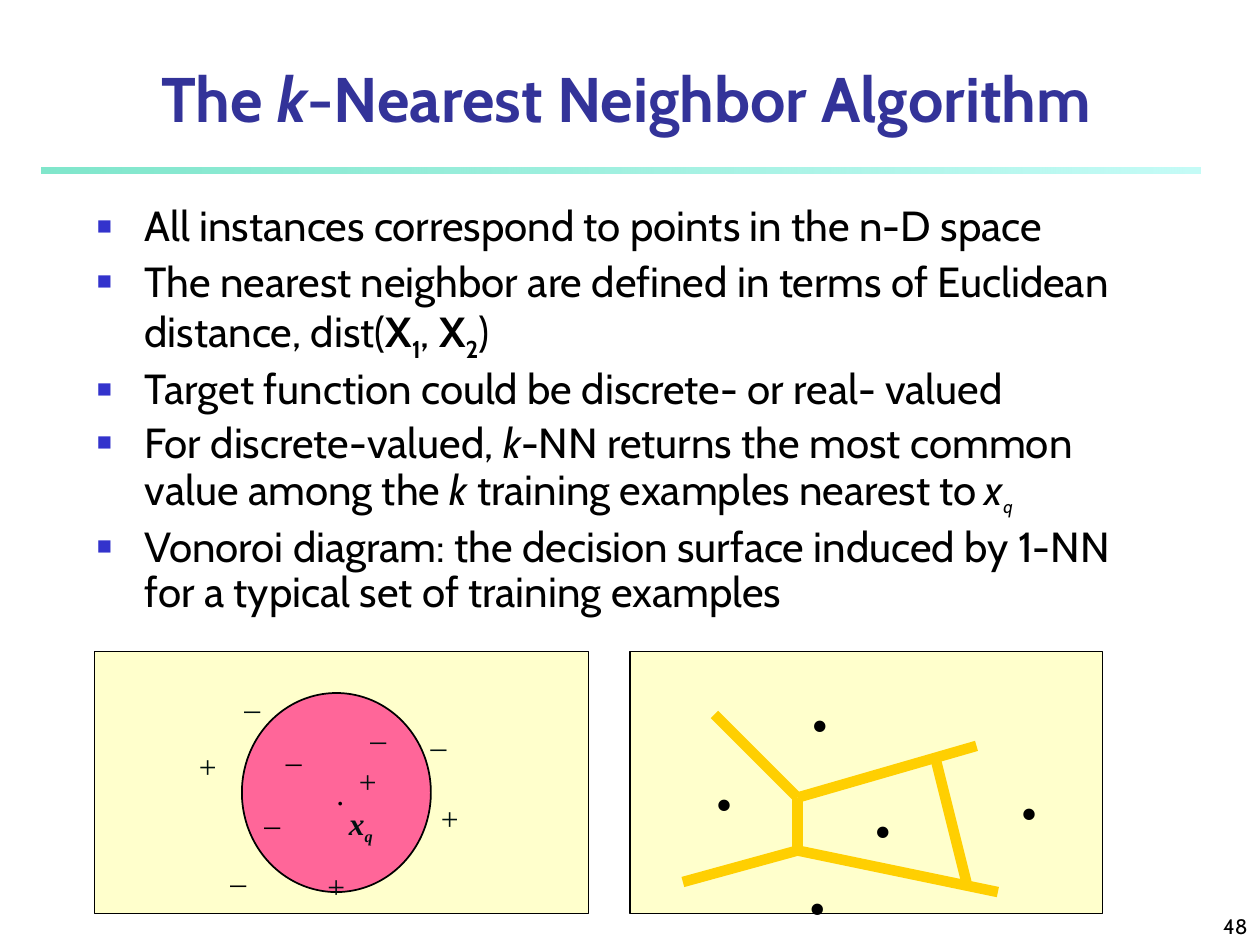
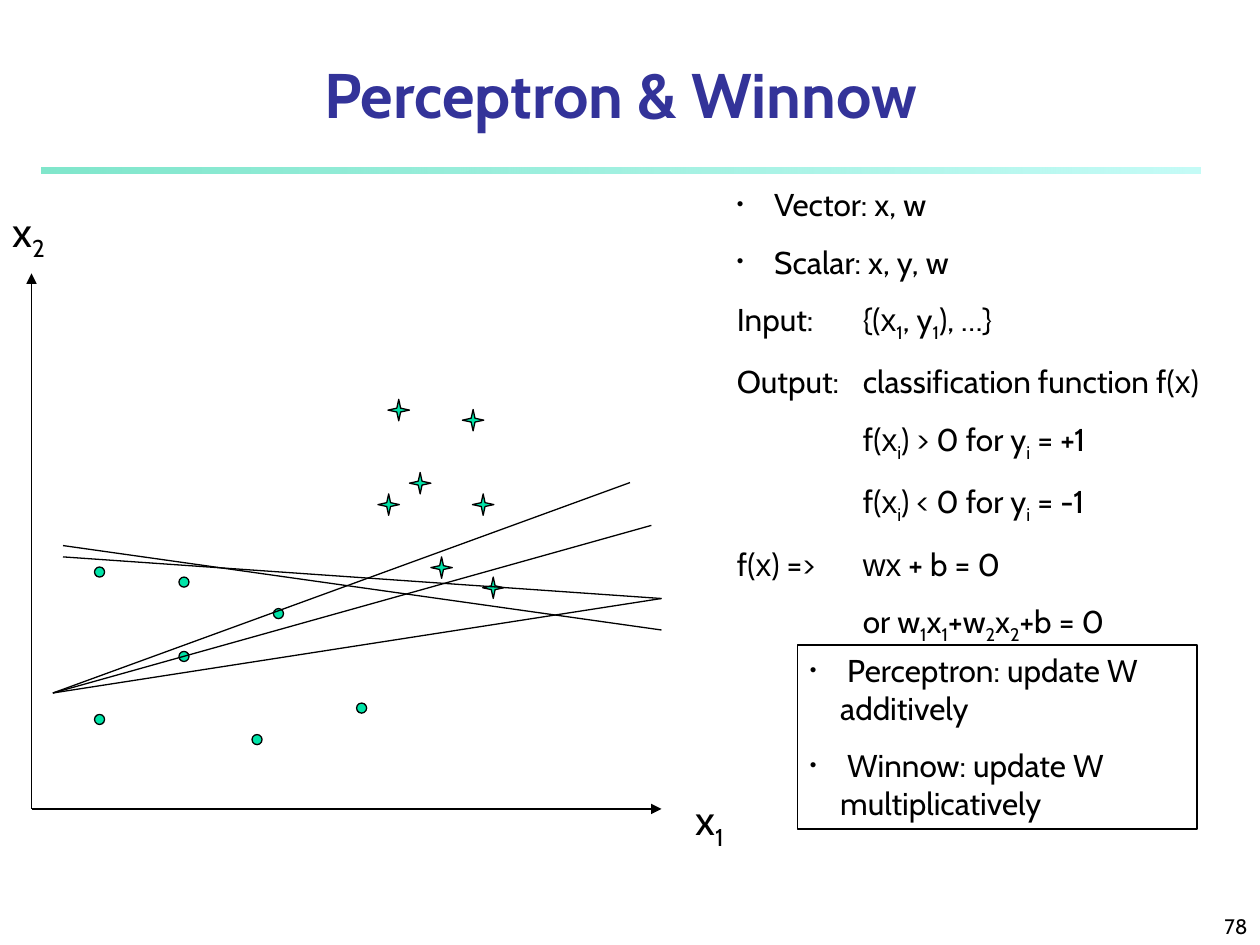
import pptx
import pptx.dml.color
import pptx.enum.shapes
import pptx.enum.text
import pptx.oxml.ns
import pptx.util
from lxml import etree

Inches = pptx.util.Inches
Shapes = pptx.enum.shapes.MSO_SHAPE
Align = pptx.enum.text.PP_ALIGN
Anchor = pptx.enum.text.MSO_ANCHOR
qn = pptx.oxml.ns.qn

COLORS = {
    "black": "000000", "ink": "001010", "title": "333399", "bullet": "3333CC",
    "band_start": "00CE98", "band_end": "8FF9EF", "panel": "FFFFCC",
    "circle": "FF6699", "boundary": "FFCF01", "marker": "00E4A8",
}
SANS, SERIF, PLAIN = "Cabin", "Times New Roman", "Arial"


def rgb(name):
    return pptx.dml.color.RGBColor.from_string(COLORS[name])


def run(text, **style):
    """A piece of text whose format differs from its paragraph."""
    return text, style


def sub(text, **style):
    return run(text, subscript=True, **style)


def write(frame, pieces, *, size=18, font=SANS, color="black", bold=False,
          align=Align.LEFT, space_before=0, line_spacing=None,
          bullet=None, bullet_color="black", hanging=0, tab=None):
    """Add one paragraph, given as a string or a list of strings and runs."""
    first = not frame.text
    paragraph = frame.paragraphs[0] if first else frame.add_paragraph()
    properties = paragraph._p.get_or_add_pPr()
    if bullet:
        properties.set("marL", str(Inches(hanging)))
        properties.set("indent", str(-Inches(hanging)))
        bullet_fill = etree.SubElement(properties, qn("a:buClr"))
        etree.SubElement(bullet_fill, qn("a:srgbClr"), val=COLORS[bullet_color])
        etree.SubElement(properties, qn("a:buSzPct"), val="60000")
        etree.SubElement(properties, qn("a:buFont"), typeface=PLAIN)
        etree.SubElement(properties, qn("a:buChar"), char=bullet)
    if tab:
        stops = etree.SubElement(properties, qn("a:tabLst"))
        etree.SubElement(stops, qn("a:tab"), pos=str(Inches(tab)), algn="l")
    paragraph.alignment = align
    paragraph.space_before = pptx.util.Pt(0 if first else space_before)
    if line_spacing:
        paragraph.line_spacing = line_spacing
    for piece in [pieces] if isinstance(pieces, str) else pieces:
        text, style = run(piece) if isinstance(piece, str) else piece
        text_run = paragraph.add_run()
        text_run.text = text
        text_run.font.name = style.get("font", font)
        text_run.font.size = pptx.util.Pt(style.get("size", size))
        text_run.font.bold = style.get("bold", bold)
        text_run.font.italic = style.get("italic", False)
        text_run.font.color.rgb = rgb(color)
        if style.get("subscript"):
            text_run._r.get_or_add_rPr().set("baseline", "-25000")


class Deck:
    def __init__(self):
        self.presentation = pptx.Presentation()
        self.presentation.slide_width = Inches(10)
        self.presentation.slide_height = Inches(7.5)
        self.slide = None

    def start_slide(self, title, number, title_box, title_anchor):
        self.slide = self.presentation.slides.add_slide(
            self.presentation.slide_layouts[6])
        self.band()
        self.text(str(number), (7.92, 7.08, 2.08, 0.42), anchor=Anchor.BOTTOM,
                  size=12, align=Align.RIGHT)
        self.text(title, title_box, anchor=title_anchor, size=36,
                  color="title", bold=True, align=Align.CENTER)

    def band(self):
        band = self.shape(Shapes.RECTANGLE, (0.33, 1.33, 9.2, 0.05), line=None)
        band.fill.gradient()
        band.fill.gradient_angle = 0
        for stop, name in zip(band.fill.gradient_stops, ("band_start", "band_end")):
            stop.color.rgb = rgb(name)
        for color, alpha in zip(band._element.iter(qn("a:srgbClr")), (50, 52)):
            etree.SubElement(color, qn("a:alpha"), val=str(alpha * 1000))

    def frame(self, box, anchor=Anchor.TOP, wrap=True):
        frame = self.slide.shapes.add_textbox(*map(Inches, box)).text_frame
        frame.word_wrap = wrap
        frame.vertical_anchor = anchor
        if not wrap:
            frame.auto_size = pptx.enum.text.MSO_AUTO_SIZE.SHAPE_TO_FIT_TEXT
        return frame

    def text(self, pieces, box, anchor=Anchor.TOP, wrap=True, **style):
        write(self.frame(box, anchor, wrap), pieces, **style)

    def shape(self, kind, box, fill=None, line="black", width=0.75):
        shape = self.slide.shapes.add_shape(kind, *map(Inches, box))
        shape.shadow.inherit = False
        if fill:
            shape.fill.solid()
            shape.fill.fore_color.rgb = rgb(fill)
        else:
            shape.fill.background()
        if line:
            shape.line.color.rgb = rgb(line)
            shape.line.width = pptx.util.Pt(width)
        else:
            shape.line.fill.background()
        return shape

    def line(self, start, end, color="black", width=0.75, arrow=False):
        connector = self.slide.shapes.add_connector(
            pptx.enum.shapes.MSO_CONNECTOR.STRAIGHT, *map(Inches, start + end))
        connector.line.color.rgb = rgb(color)
        connector.line.width = pptx.util.Pt(width)
        if arrow:
            etree.SubElement(connector.line._get_or_add_ln(), qn("a:tailEnd"),
                             type="triangle")
        etree.SubElement(connector._element.spPr, qn("a:effectLst"))


def nearest_neighbor_slide(deck):
    deck.start_slide(["The ", run("k", italic=True), "-Nearest Neighbor Algorithm"],
                     48, (0.5, 0.55, 8.94, 0.44), Anchor.MIDDLE)

    # Bullets
    k = run("k", italic=True)
    points = [
        ("All instances correspond to points in the n-D space", 6),
        (["The nearest neighbor are defined in terms of Euclidean distance, dist(",
          run("X", bold=True), sub("1", bold=True), ", ",
          run("X", bold=True), sub("2", bold=True), ")"], 6),
        ("Target function could be discrete- or real- valued", 6),
        (["For discrete-valued, ", k, "-NN returns the most common value among the ",
          k, " training examples nearest to", run(" ", size=20),
          run("x", italic=True), sub("q", size=18, italic=True)], 4.5),
        ("Vonoroi diagram: the decision surface induced by 1-NN "
         "for a typical set of training examples", 6),
    ]
    body = deck.frame((0.67, 1.58, 8.67, 5.58))
    for pieces, space_before in points:
        write(body, pieces, size=24, space_before=space_before, line_spacing=0.9,
              bullet="■", bullet_color="bullet", hanging=0.38)

    # Panels and neighborhood circle
    for left, width in ((0.75, 3.92), (5, 3.75)):
        deck.shape(Shapes.RECTANGLE, (left, 5.17, width, 2.08), "panel", width=1)
    circle = deck.shape(Shapes.OVAL, (1.92, 5.5, 1.5, 1.58), "circle", width=1)
    circle.text_frame.vertical_anchor = Anchor.MIDDLE
    circle.text_frame.margin_left = Inches(0.16)
    write(circle.text_frame, ".", font=SERIF, align=Align.CENTER)

    # Positive and negative examples
    examples = {
        ("_", 0.32, "black"): [(2.17, 5.75), (2, 6.25), (1.73, 6.71)],
        ("_", 0.32, "ink"): [(2.84, 5.58), (3.32, 5.63), (1.84, 5.33)],
        ("+", 0.34, "ink"): [(2.75, 6), (2.5, 6.83), (1.48, 5.88), (3.4, 6.29)],
    }
    for (sign, width, color), places in examples.items():
        for left, top in places:
            deck.text(sign, (left, top, width, 0.4), wrap=False, font=SERIF, color=color)
    deck.text([run("x", italic=True), sub("q", size=16, italic=True)],
              (2.67, 6.33, 0.39, 0.43), wrap=False, font=SERIF, color="ink", bold=True)

    # Voronoi diagram
    upper, lower = (6.33, 6.33), (6.33, 6.75)
    for start, end in (((5.67, 5.67), upper), (upper, (7.75, 5.92)), (upper, lower),
                       (lower, (7.92, 7.08)), (lower, (5.42, 7)),
                       ((7.42, 6), (7.67, 7))):
        deck.line(start, end, "boundary", 6)
    for left, top in ((6.34, 5.2), (6.84, 6.04), (6.32, 6.65), (5.58, 5.83), (8, 5.9)):
        deck.text(".", (left, top, 0.34, 0.77), wrap=False, size=40, font=SERIF, bold=True)


def perceptron_slide(deck):
    deck.start_slide("Perceptron & Winnow", 78, (0.33, 0.42, 9.19, 0.67), Anchor.BOTTOM)
    bulleted = {"space_before": 11.2, "bullet": "•", "hanging": 0.24}

    # Definitions
    x = run("x", font=PLAIN)
    definitions = deck.frame((5.75, 1.42, 4.25, 4.22))
    for item in (" Vector: x, w", " Scalar: x, y, w"):
        write(definitions, item, **bulleted)
    rows = [
        ["Input:\t{(", x, sub("1"), ", y", sub("1"), "), …}"],
        ["Output:\tclassification function f(", x, ")"],
        *(["\tf(", x, sub("i"), f") {sign} 0 for y", sub("i"), f" = {label}"]
          for sign, label in ((">", "+1"), ("<", "-1"))),
        ["f(", x, ") =>\t", run("wx", font=PLAIN), " + b = 0"],
        ["\tor w", sub("1"), "x", sub("1"), "+w", sub("2"), "x", sub("2"), "+b = 0"],
    ]
    for row in rows:
        write(definitions, row, space_before=11.2, tab=1)

    # Axes
    origin = (0.25, 6.42)
    for end in ((5.25, 6.42), (0.25, 2.17)):
        deck.line(origin, end, arrow=True)
    for index, left, top in (("1", 5.42, 6.25), ("2", 0, 1.58)):
        deck.text(["x", sub(index)], (left, top, 0.83, 0.56), size=24)

    # Two classes of points
    dots = [(0.75, 4.5), (0.75, 5.67), (1.42, 4.58), (2, 5.83), (1.42, 5.17),
            (2.17, 4.83), (2.83, 5.58)]
    stars = [(3.25, 3.75), (3.75, 3.92), (3.42, 4.42), (3.08, 3.17), (3, 3.92),
             (3.83, 4.58), (3.67, 3.25)]
    for kind, size, places in ((Shapes.OVAL, 0.08, dots),
                               (Shapes.STAR_4_POINT, 0.17, stars)):
        for left, top in places:
            deck.shape(kind, (left, top, size, size), "marker")

    # Candidate separating lines
    pivot, right = (0.42, 5.5), (5.25, 4.75)
    for start, end in ((pivot, (5, 3.83)), (pivot, (5.17, 4.17)), (pivot, right),
                       ((0.5, 4.42), right), ((0.5, 4.33), (5.25, 5))):
        deck.line(start, end)

    # Update rules
    rules = deck.shape(Shapes.RECTANGLE, (6.33, 5.12, 3.17, 1.46)).text_frame
    rules.vertical_anchor = Anchor.TOP
    for item in (" Perceptron: update W additively", " Winnow: update W multiplicatively"):
        write(rules, item, **bulleted)


def main():
    deck = Deck()
    nearest_neighbor_slide(deck)
    perceptron_slide(deck)
    deck.presentation.save("out.pptx")


if __name__ == "__main__":
    main()
